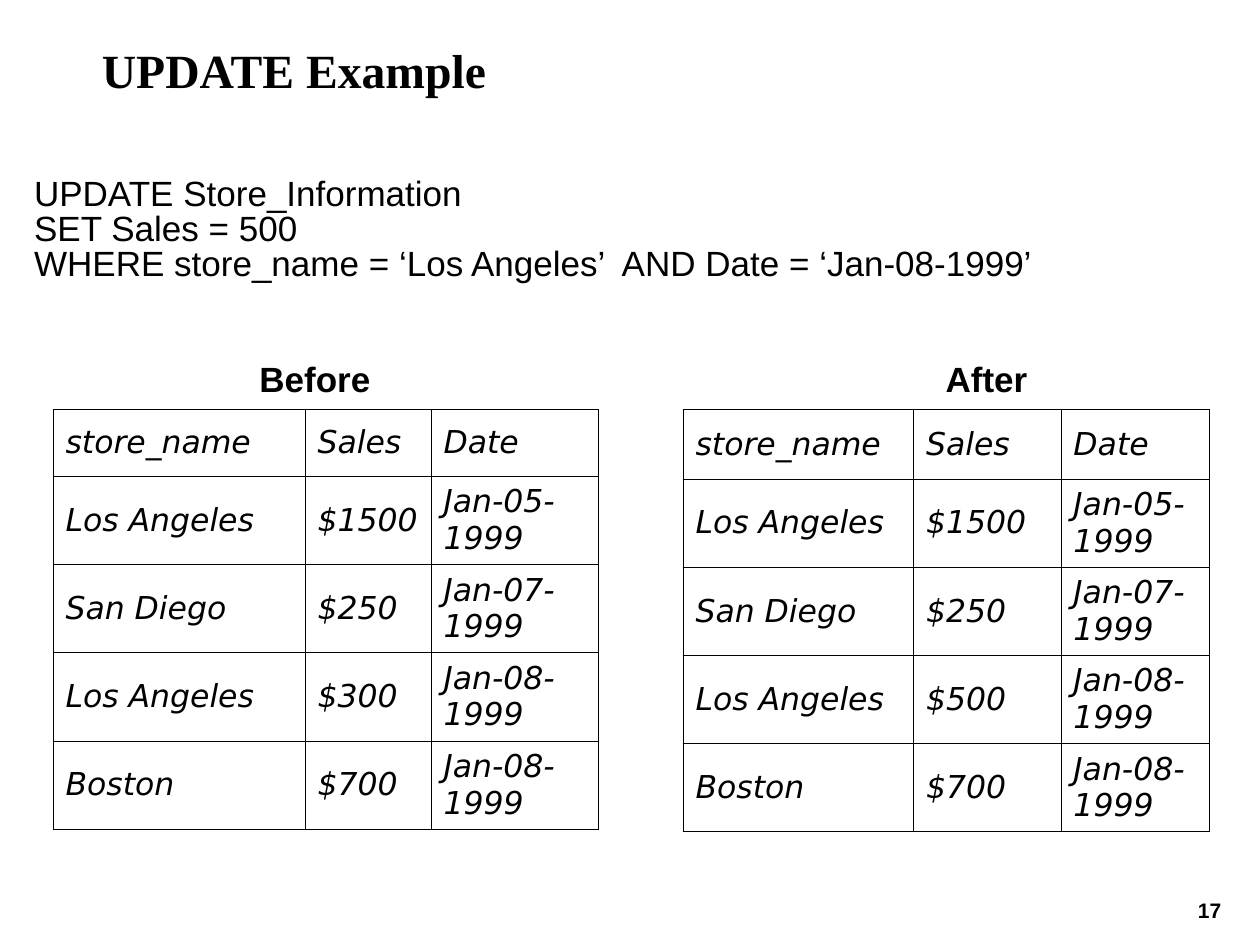
from dataclasses import dataclass

from lxml.etree import SubElement
from pptx import Presentation
from pptx.dml.color import RGBColor
from pptx.enum.text import MSO_ANCHOR, MSO_AUTO_SIZE, PP_ALIGN
from pptx.oxml.ns import qn
from pptx.slide import Slide
from pptx.table import Table, _Cell
from pptx.text.text import _Paragraph
from pptx.util import Inches, Pt

BLACK = "000000"
NO_STYLE = "{2D5ABB26-0587-4C30-8999-92F81FD0307C}"
BORDER_WIDTH = Pt(0.34)
TABLE_TOP = 3.25
DATA_ROW_HEIGHT = 0.7
STATEMENT = (
    "UPDATE Store_Information\n"
    "SET Sales = 500\n"
    "WHERE store_name = ‘Los Angeles’  AND Date = ‘Jan-08-1999’"
)


@dataclass(frozen=True)
class TextStyle:
    font: str
    size: float
    bold: bool = False
    italic: bool = False
    line_spacing: float = 0.9


@dataclass(frozen=True)
class Label:
    text: str
    left: float
    top: float
    width: float
    height: float
    style: TextStyle
    centered: bool = True


@dataclass(frozen=True)
class StoreTable:
    left: float
    column_widths: tuple[float, ...]
    header_height: float
    changed_sales: str


TITLE = TextStyle("Times New Roman", 27.2, bold=True)
CODE = TextStyle("Arial", 20)
CAPTION = TextStyle("Arial", 20, bold=True)
PAGE_NUMBER = TextStyle("Arial", 12, bold=True)
CELL = TextStyle("DejaVu Sans", 18, italic=True, line_spacing=1.0)

LABELS = (
    Label("17", 9.35, 7.1, 0.5, 0.28, PAGE_NUMBER),
    Label("UPDATE Example", 0.71, 0.33, 8.29, 1.03, TITLE, centered=False),
    Label("Before", 1.75, 2.83, 1.5, 0.4, CAPTION),
    Label("After", 7.08, 2.83, 1.5, 0.4, CAPTION),
)
STORE_TABLES = (
    StoreTable(5.42, (1.83, 1.17, 1.18), 0.55, "$500"),
    StoreTable(0.42, (2, 1, 1.33), 0.53, "$300"),
)


def color(value: str) -> RGBColor:
    return RGBColor.from_string(value)


def write(paragraph: _Paragraph, text: str, style: TextStyle) -> None:
    paragraph.text = text
    paragraph.line_spacing = style.line_spacing
    for run in paragraph.runs:
        run.font.name = style.font
        run.font.size = Pt(style.size)
        run.font.bold = style.bold
        run.font.italic = style.italic
        run.font.color.rgb = color(BLACK)


def add_label(slide: Slide, label: Label) -> None:
    box = slide.shapes.add_textbox(
        Inches(label.left), Inches(label.top), Inches(label.width), Inches(label.height)
    )
    frame = box.text_frame
    frame.word_wrap = True
    frame.auto_size = MSO_AUTO_SIZE.SHAPE_TO_FIT_TEXT if label.centered else MSO_AUTO_SIZE.NONE
    paragraph = frame.paragraphs[0]
    write(paragraph, label.text, label.style)
    paragraph.alignment = PP_ALIGN.CENTER if label.centered else PP_ALIGN.LEFT


def add_plain_table(
    slide: Slide, left: float, top: float, widths: tuple[float, ...], heights: tuple[float, ...]
) -> Table:
    """Add a table without banding, header style or grid."""
    frame = slide.shapes.add_table(
        len(heights), len(widths),
        Inches(left), Inches(top), Inches(sum(widths)), Inches(sum(heights)),
    )
    table = frame.table
    table.first_row = False
    table.horz_banding = False
    table._tbl.tblPr.find(qn("a:tableStyleId")).text = NO_STYLE
    for column, width in zip(table.columns, widths):
        column.width = Inches(width)
    for row, height in zip(table.rows, heights):
        row.height = Inches(height)
    return table


def fill_cell(cell: _Cell, text: str, style: TextStyle) -> None:
    cell.fill.background()
    cell.vertical_anchor = MSO_ANCHOR.MIDDLE
    write(cell.text_frame.paragraphs[0], text, style)


def add_borders(cell: _Cell) -> None:
    properties = cell._tc.get_or_add_tcPr()
    for side in ("L", "R", "T", "B"):
        line = SubElement(properties, qn(f"a:ln{side}"), w=str(int(BORDER_WIDTH)))
        fill = SubElement(line, qn("a:solidFill"))
        SubElement(fill, qn("a:srgbClr"), val=BLACK)


def add_store_table(slide: Slide, store_table: StoreTable) -> None:
    records = (
        ("store_name", "Sales", "Date"),
        ("Los Angeles", "$1500", "Jan-05-1999"),
        ("San Diego", "$250", "Jan-07-1999"),
        ("Los Angeles", store_table.changed_sales, "Jan-08-1999"),
        ("Boston", "$700", "Jan-08-1999"),
    )
    heights = (store_table.header_height,) + (DATA_ROW_HEIGHT,) * (len(records) - 1)
    table = add_plain_table(
        slide, store_table.left, TABLE_TOP, store_table.column_widths, heights
    )
    for row, record in zip(table.rows, records):
        for cell, text in zip(row.cells, record):
            add_borders(cell)
            fill_cell(cell, text, CELL)


def main() -> None:
    presentation = Presentation()
    presentation.slide_width = Inches(10)
    presentation.slide_height = Inches(7.5)
    slide = presentation.slides.add_slide(presentation.slide_layouts[6])
    slide.background.fill.solid()
    slide.background.fill.fore_color.rgb = color("FFFFFF")

    statement_table = add_plain_table(slide, 0.17, 1.33, (9,), (1,))
    fill_cell(statement_table.cell(0, 0), STATEMENT, CODE)
    for store_table in STORE_TABLES:
        add_store_table(slide, store_table)
    for label in LABELS:
        add_label(slide, label)
    presentation.save("out.pptx")


if __name__ == "__main__":
    main()
